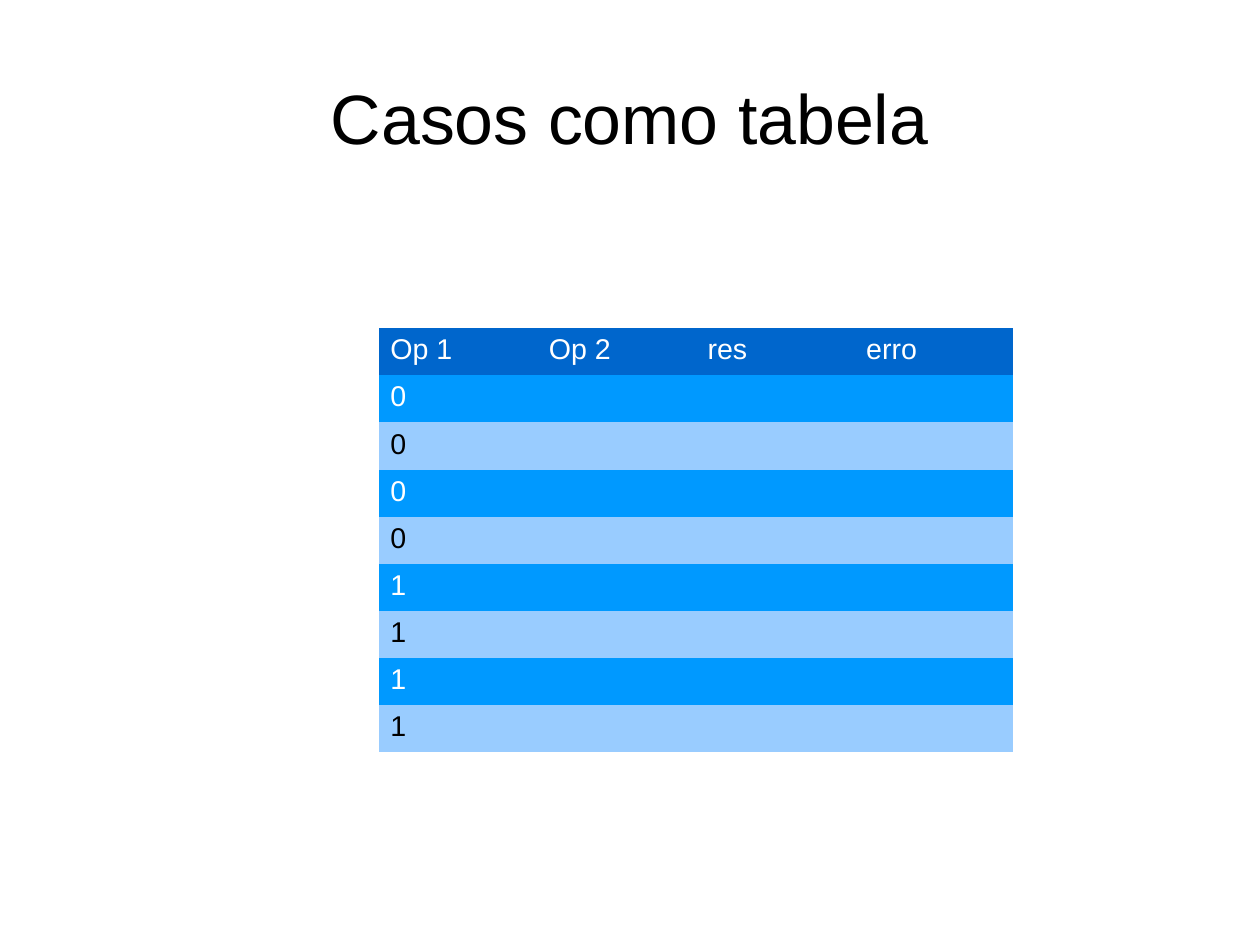
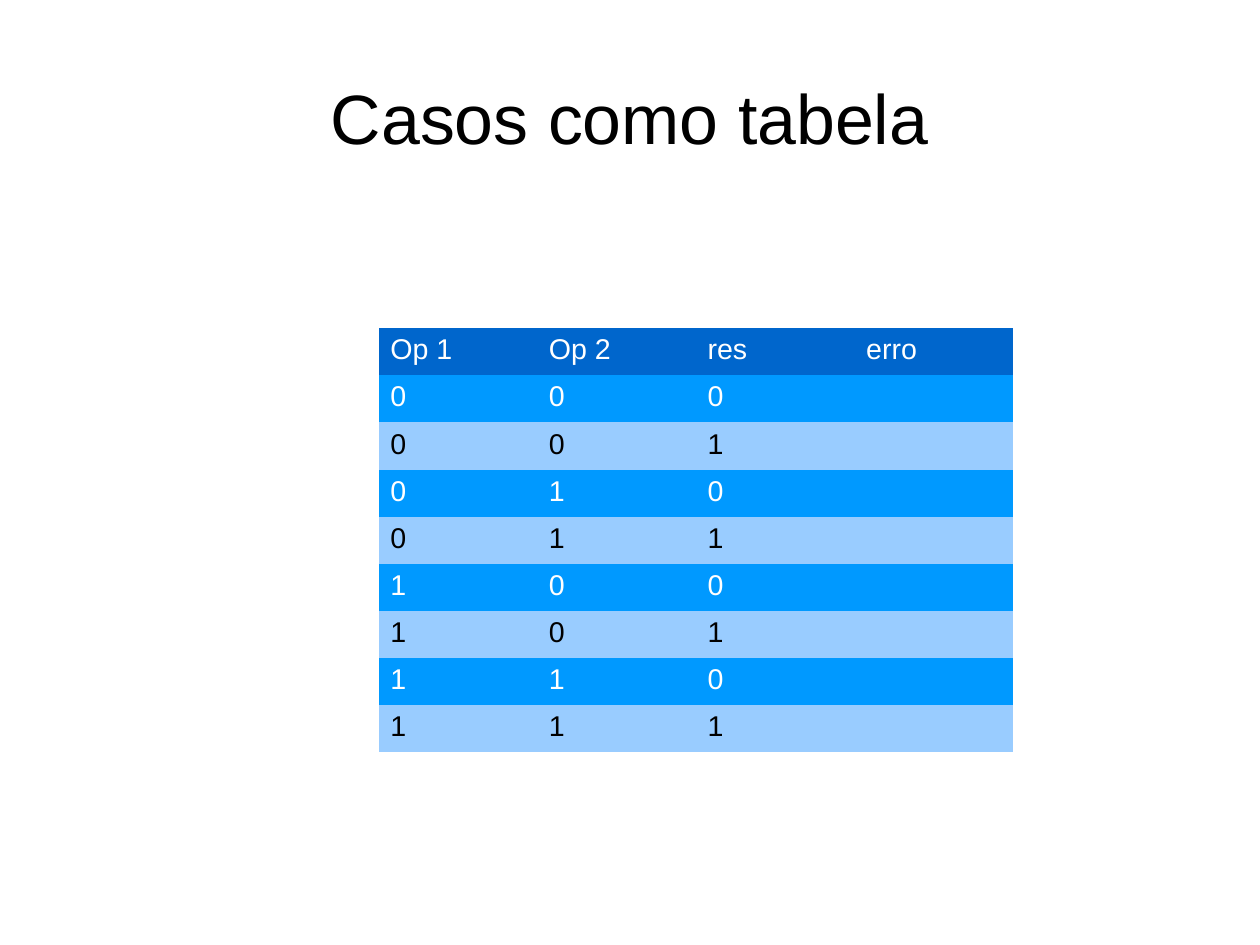
from itertools import product

from pptx import Presentation
from pptx.dml.color import RGBColor
from pptx.enum.text import MSO_ANCHOR, PP_ALIGN
from pptx.util import Cm, Pt

COLORS = {
    "header": "0066CC",
    "odd": "0099FF",
    "even": "99CCFF",
    "light": "FFFFFF",
    "dark": "000000",
}
FONT = "Arial"
NO_STYLE = "{2D5ABB26-0587-4C30-8999-92F81FD0307C}"
TITLE_BOX = (Cm(1.4), Cm(0.84), Cm(25.2), Cm(3.51))
TABLE_BOX = (Cm(8.42), Cm(7.29), Cm(14.1), Cm(9.44))
HEADINGS = ["Op 1", "Op 2", "res", "erro"]
CASES = list(product("01", repeat=3))


def add_run(p, text, size, color):
    r = p.add_run()
    r.text = text
    r.font.name = FONT
    r.font.size = Pt(size)
    r.font.color.rgb = RGBColor.from_string(COLORS[color])


def add_title(s, box, text):
    sp = s.shapes.title
    sp.left, sp.top, sp.width, sp.height = box
    tf = sp.text_frame
    tf.margin_left = tf.margin_top = tf.margin_right = tf.margin_bottom = 0
    tf.vertical_anchor = MSO_ANCHOR.MIDDLE
    tf.word_wrap = True
    p = tf.paragraphs[0]
    p.alignment = PP_ALIGN.CENTER
    add_run(p, text, 44, "dark")


def row_colors(index):
    if index == 0:
        return "header", "light"
    return ("odd", "light") if index % 2 else ("even", "dark")


def add_case_table(s, box, filled):
    rows = [HEADINGS] + [case[:filled] for case in CASES]
    left, top, width, height = box
    table = s.shapes.add_table(len(rows), len(HEADINGS), *box).table
    table._tbl.tblPr[0].text = NO_STYLE
    table.first_row = table.horz_banding = False
    for col in table.columns:
        col.width = width // len(HEADINGS)
    for i, values in enumerate(rows):
        table.rows[i].height = height // len(rows)
        fill, color = row_colors(i)
        for cell in table.rows[i].cells:
            cell.fill.solid()
            cell.fill.fore_color.rgb = RGBColor.from_string(COLORS[fill])
        for j, value in enumerate(values):
            p = table.cell(i, j).text_frame.paragraphs[0]
            add_run(p, value, 18, color)


def add_case_slide(prs, filled):
    s = prs.slides.add_slide(prs.slide_layouts.get_by_name("Title Only"))
    add_title(s, TITLE_BOX, "Casos como tabela")
    add_case_table(s, TABLE_BOX, filled)


def main():
    prs = Presentation()
    prs.slide_width, prs.slide_height = Cm(28), Cm(21)
    for filled in (1, 3):
        add_case_slide(prs, filled)
    prs.save("out.pptx")


if __name__ == "__main__":
    main()
